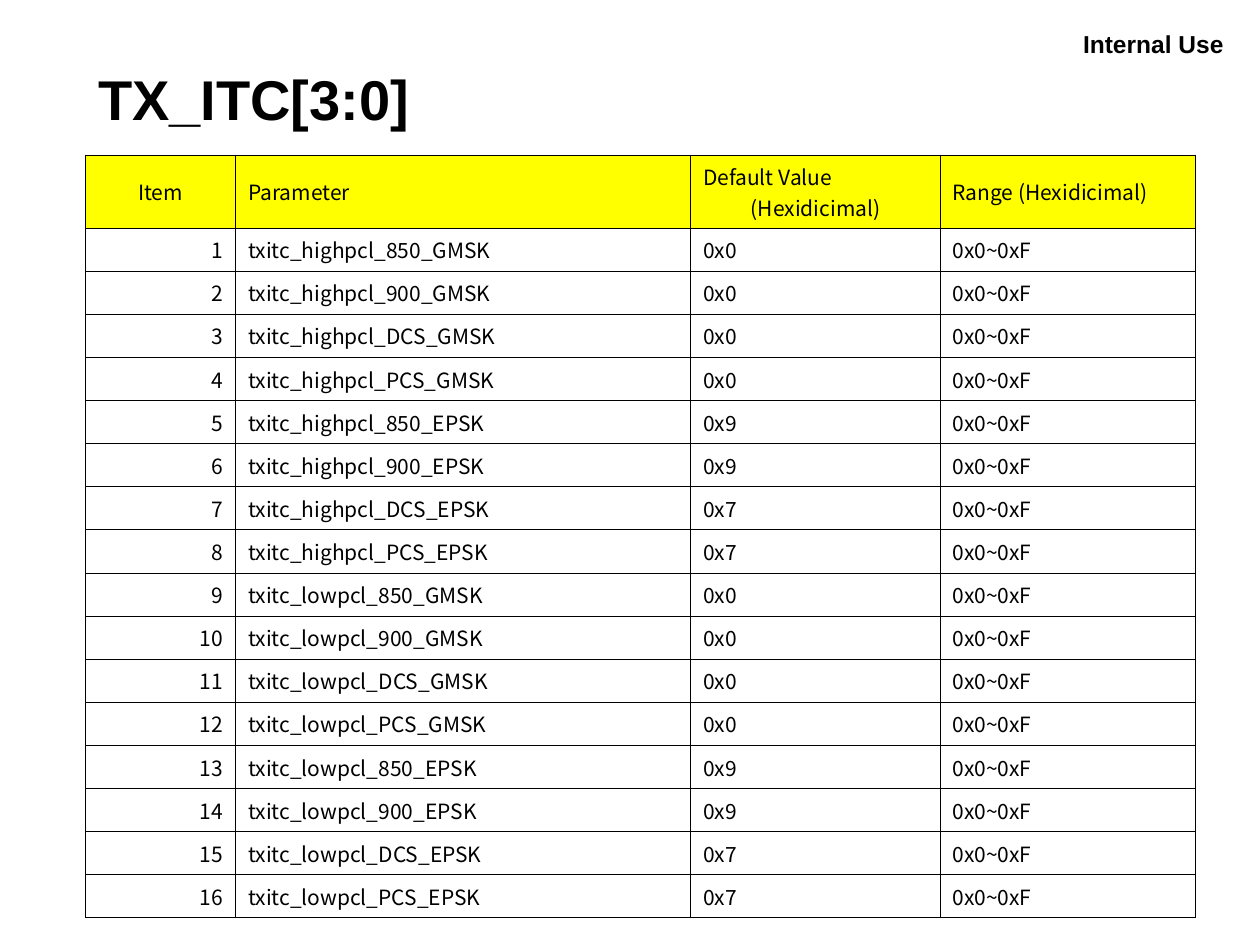
from itertools import product

from lxml import etree
from pptx import Presentation
from pptx.dml.color import RGBColor
from pptx.enum import text
from pptx.oxml import ns
from pptx.util import Inches, Pt

BLACK = "000000"
YELLOW = "FFFF00"
LEFT, CENTER, RIGHT = text.PP_ALIGN.LEFT, text.PP_ALIGN.CENTER, text.PP_ALIGN.RIGHT

HEADERS = ["Item", "Parameter", "Default Value (Hexidicimal)", "Range (Hexidicimal)"]
COLUMN_WIDTHS = [1.19, 3.61, 1.98, 2.03]
HEADER_HEIGHT = 0.58
HANGING_INDENT = 0.38
POWER_LEVELS = ["highpcl", "lowpcl"]
MODULATIONS = ["GMSK", "EPSK"]
BANDS = ["850", "900", "DCS", "PCS"]


def color(value):
    return RGBColor.from_string(value)


def style_font(font, name, size, bold=False):
    font.name = name
    font.size = Pt(size)
    font.bold = bold
    font.color.rgb = color(BLACK)


def add_label(page, wording, left, top, width, height, size, align):
    box = page.shapes.add_textbox(Inches(left), Inches(top), Inches(width), Inches(height))
    frame = box.text_frame
    frame.word_wrap = True
    frame.vertical_anchor = text.MSO_ANCHOR.MIDDLE
    frame.text = wording
    para = frame.paragraphs[0]
    para.alignment = align
    style_font(para.runs[0].font, "Arial", size, bold=True)


def default_value(modulation, band):
    if modulation == "GMSK":
        return "0x0"
    return "0x9" if band in ("850", "900") else "0x7"


def parameter_rows():
    combinations = product(POWER_LEVELS, MODULATIONS, BANDS)
    return [
        [str(number), f"txitc_{level}_{band}_{modulation}",
         default_value(modulation, band), "0x0~0xF"]
        for number, (level, modulation, band) in enumerate(combinations, 1)
    ]


def add_borders(cell):
    properties = cell._tc.get_or_add_tcPr()
    for side in ("lnL", "lnR", "lnT", "lnB"):
        line = etree.SubElement(properties, ns.qn(f"a:{side}"), w=str(Pt(0.45)))
        fill = etree.SubElement(line, ns.qn("a:solidFill"))
        etree.SubElement(fill, ns.qn("a:srgbClr"), val=BLACK)


def fill_cell(cell, wording, align, is_header):
    # Borders come before the fill in the cell properties
    add_borders(cell)
    if is_header:
        cell.fill.solid()
        cell.fill.fore_color.rgb = color(YELLOW)
    else:
        cell.fill.background()
    cell.vertical_anchor = text.MSO_ANCHOR.MIDDLE
    cell.text = wording
    para = cell.text_frame.paragraphs[0]
    para.alignment = align
    indent = Inches(HANGING_INDENT)
    para_properties = para._p.get_or_add_pPr()
    para_properties.set("marL", str(indent))
    para_properties.set("indent", str(-indent))
    style_font(para.runs[0].font, "Noto Sans CJK TC", 12)


def add_parameter_table(page, left, top, height):
    rows = [HEADERS] + parameter_rows()
    row_height = (height - HEADER_HEIGHT) / (len(rows) - 1)
    table = page.shapes.add_table(
        len(rows), len(HEADERS), Inches(left), Inches(top),
        Inches(sum(COLUMN_WIDTHS)), Inches(height)).table
    table.first_row = False
    table.horz_banding = False
    for column, width in zip(table.columns, COLUMN_WIDTHS):
        column.width = Inches(width)
    for row_index, row in enumerate(rows):
        is_header = row_index == 0
        table.rows[row_index].height = Inches(HEADER_HEIGHT if is_header else row_height)
        item_align = CENTER if is_header else RIGHT
        for column_index, wording in enumerate(row):
            align = item_align if column_index == 0 else LEFT
            fill_cell(table.cell(row_index, column_index), wording, align, is_header)


def main():
    deck = Presentation()
    deck.slide_width, deck.slide_height = Inches(10), Inches(7.5)
    page = deck.slides.add_slide(deck.slide_layouts[6])
    # Classification mark and title
    add_label(page, "Internal Use", 8.27, 0.18, 1.54, 0.34, 14, RIGHT)
    add_label(page, "TX_ITC[3:0]", 0.68, 0.42, 8.81, 0.72, 32, LEFT)
    # Transmit parameters
    add_parameter_table(page, 0.68, 1.23, 6.06)
    deck.save("out.pptx")


if __name__ == "__main__":
    main()
